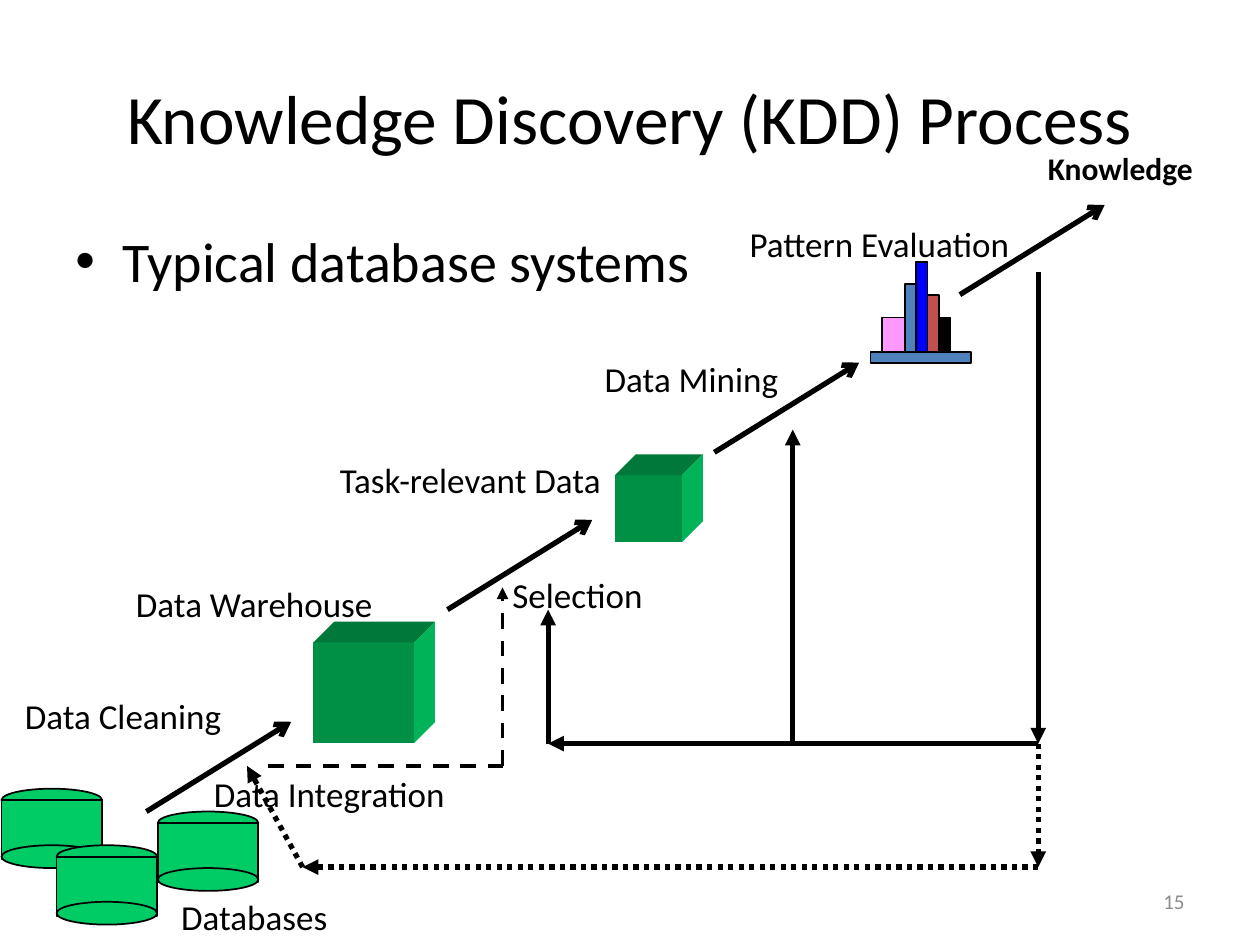
"""Build a slide showing the knowledge discovery process."""
from lxml import etree
from pptx import Presentation
from pptx.dml.color import RGBColor
from pptx.enum.dml import MSO_LINE
from pptx.enum.shapes import MSO_CONNECTOR, MSO_SHAPE
from pptx.enum.text import MSO_ANCHOR, PP_ALIGN
from pptx.oxml.ns import qn
from pptx.util import Cm, Pt

RECT, OVAL = MSO_SHAPE.RECTANGLE, MSO_SHAPE.OVAL
STRAIGHT = MSO_CONNECTOR.STRAIGHT
DASH, DOT = MSO_LINE.DASH, MSO_LINE.ROUND_DOT
LEFT, CENTER, RIGHT = PP_ALIGN.LEFT, PP_ALIGN.CENTER, PP_ALIGN.RIGHT
TOP, MIDDLE = MSO_ANCHOR.TOP, MSO_ANCHOR.MIDDLE
COLORS = {
    "black": "000000", "gray": "8C8C8C", "green": "00CC66",
    "front": "009045", "top": "00783A", "side": "00B359",
    "pink": "FF99FF", "steel": "4F81BD", "blue": "0000FF", "red": "C0504D",
}
RGB = {name: RGBColor.from_string(value) for name, value in COLORS.items()}


def add_text(text, x, y, w, h, size, align=LEFT, anchor=TOP, color="black", wrap=True):
    sp = s.shapes.add_textbox(Cm(x), Cm(y), Cm(w), Cm(h))
    tf = sp.text_frame
    tf.word_wrap = wrap
    tf.vertical_anchor = anchor
    tf.text = text
    p = tf.paragraphs[0]
    p.alignment = align
    r = p.runs[0]
    r.font.name = "Calibri"
    r.font.size = Pt(size)
    r.font.color.rgb = RGB[color]
    return p


def add_shape(kind, x, y, w, h, color):
    sp = s.shapes.add_shape(kind, Cm(x), Cm(y), Cm(w), Cm(h))
    sp.shadow.inherit = False
    sp.fill.solid()
    sp.fill.fore_color.rgb = RGB[color]
    sp.line.color.rgb = RGB["black"]
    sp.line.width = Pt(1)
    return sp


prs = Presentation()
prs.slide_width, prs.slide_height = Cm(25.4), Cm(19.05)
s = prs.slides.add_slide(prs.slide_layouts[6])

add_text("Knowledge Discovery (KDD) Process", 1.27, 0.76, 22.86, 3.18, 39.6, CENTER, MIDDLE)
p = add_text("Typical database systems", 1.27, 4.45, 22.86, 12.57, 32)
pPr = p._p.get_or_add_pPr()
pPr.set("marL", str(Cm(0.95)))
pPr.set("indent", str(-Cm(0.95)))
etree.SubElement(pPr, qn("a:buFont"), typeface="Arial")
etree.SubElement(pPr, qn("a:buChar"), char="•")
add_text("15", 18.21, 17.65, 5.92, 1.02, 12, RIGHT, MIDDLE, "gray")

for x, y in [(0.03, 15.9), (1.14, 17.04), (3.18, 16.36)]:
    add_shape(OVAL, x, y, 2.03, 0.46, "green")
    add_shape(RECT, x, y + 0.23, 2.03, 1.19, "green")
    add_shape(OVAL, x, y + 1.14, 2.03, 0.46, "green")

depth = 0.42
for x, y, size in [(6.32, 12.95, 2.03), (12.4, 9.58, 1.35)]:
    right, bottom = x + size, y + size
    faces = [
        ("front", [(x, y), (right, y), (right, bottom), (x, bottom)]),
        ("top", [(x, y), (x + depth, y - depth), (right + depth, y - depth), (right, y)]),
        ("side", [(right, y), (right + depth, y - depth),
                  (right + depth, bottom - depth), (right, bottom)]),
    ]
    for color, corners in faces:
        points = [(Cm(px), Cm(py)) for px, py in corners]
        fb = s.shapes.build_freeform(*points[0])
        fb.add_line_segments(points[1:])
        sp = fb.convert_to_shape()
        sp.shadow.inherit = False
        sp.fill.solid()
        sp.fill.fore_color.rgb = RGB[color]
        sp.line.fill.background()

base = 7.09
x = 17.78
for color, w, h in [("pink", 0.46, 0.69), ("steel", 0.23, 1.36), ("blue", 0.23, 1.8),
                    ("red", 0.23, 1.14), ("black", 0.23, 0.69)]:
    add_shape(RECT, x, base - h, w, h, color)
    x += w
add_shape(RECT, 17.55, base, 2.03, 0.23, "steel")

for text, x, y, w, wrap in [
    ("Data Cleaning", 0.25, 13.87, 4.62, False),
    ("Data Integration", 4.06, 15.44, 5.36, False),
    ("Databases", 3.4, 17.93, 4.27, True),
    ("Data Warehouse", 2.49, 11.61, 5.89, True),
    ("Task-relevant Data", 6.6, 9.12, 6.02, False),
    ("Selection", 10.08, 11.43, 3.38, False),
    ("Data Mining", 11.94, 7.09, 4.11, False),
    ("Pattern Evaluation", 14.86, 4.37, 5.99, False),
]:
    add_text(text, x, y, w, 1.12, 20, wrap=wrap)
p = add_text("Knowledge", 20.02, 2.87, 5.13, 1.83, 18, CENTER, wrap=False)
p.runs[0].font.bold = True

steps = [(2.95, 16.36), (9.02, 12.29), (14.4, 9.12), (19.35, 5.94)]
lines = [(x, y, x + 2.92, y - 1.81, 3, None, "arrow") for x, y in steps]
lines += [
    (15.98, 14.99, 15.98, 8.66, 3, None, "triangle"),
    (20.93, 5.49, 20.93, 14.99, 3, None, "triangle"),
    (20.93, 14.99, 11.05, 14.99, 3, None, "triangle"),
    (11.05, 14.99, 11.05, 12.29, 3, None, "triangle"),
    (20.93, 14.99, 20.93, 17.48, 3, DOT, "triangle"),
    (20.93, 17.48, 6.1, 17.48, 3, DOT, "triangle"),
    (6.1, 17.48, 4.98, 15.44, 3, DOT, "triangle"),
    (5.41, 15.44, 10.13, 15.44, 2.25, DASH, None),
    (10.13, 15.44, 10.13, 11.84, 2.25, DASH, "triangle"),
]
for x1, y1, x2, y2, width, dash, tip in lines:
    cx = s.shapes.add_connector(STRAIGHT, Cm(x1), Cm(y1), Cm(x2), Cm(y2))
    cx.line.color.rgb = RGB["black"]
    cx.line.width = Pt(width)
    if dash:
        cx.line.dash_style = dash
    if tip:
        etree.SubElement(cx.line._get_or_add_ln(), qn("a:tailEnd"), type=tip)
    etree.SubElement(cx._element.spPr, qn("a:effectLst"))

prs.save("out.pptx")
